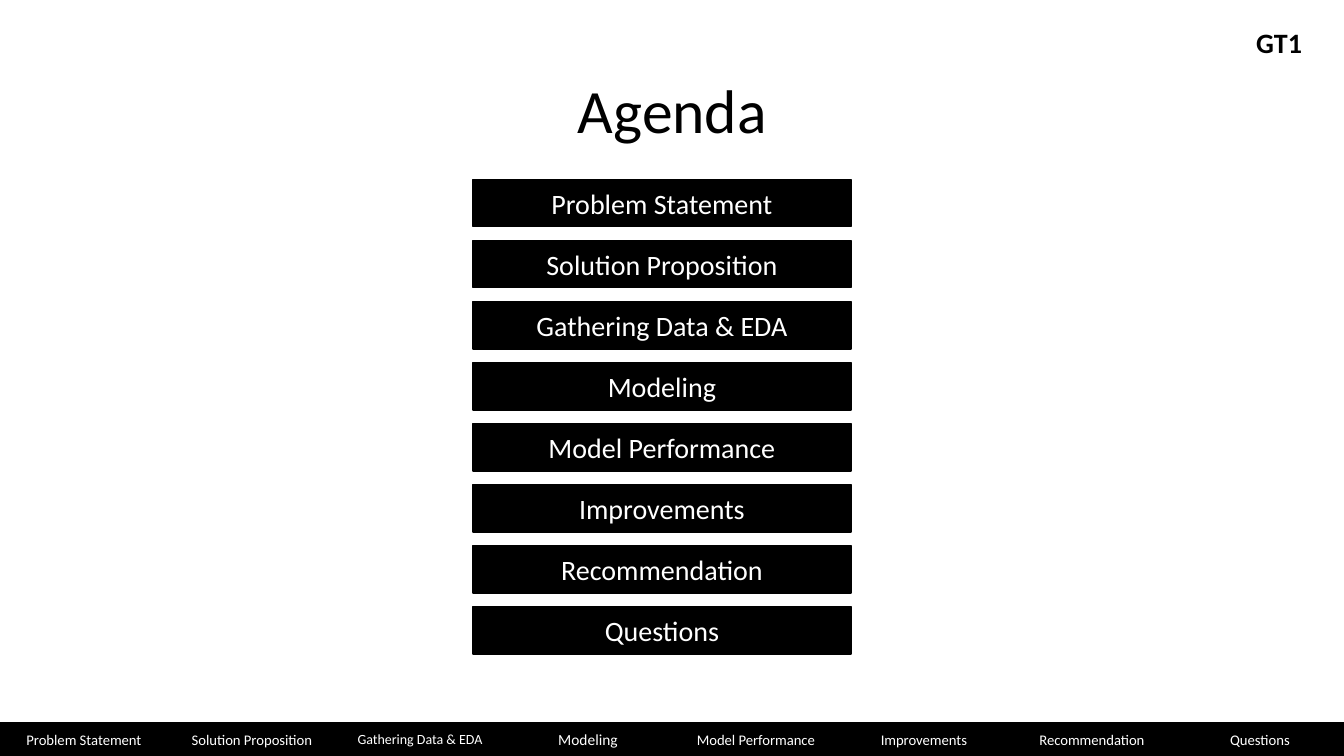
from pptx import Presentation
from pptx.dml.color import RGBColor
from pptx.enum.shapes import MSO_SHAPE
from pptx.enum.text import MSO_ANCHOR, PP_ALIGN
from pptx.util import Inches, Pt

TOPICS = [
    ("Problem Statement", 10.5),
    ("Solution Proposition", 10.5),
    ("Gathering Data & EDA", 10),
    ("Modeling", 11),
    ("Model Performance", 10.5),
    ("Improvements", 10.5),
    ("Recommendation", 10.5),
    ("Questions", 10.5),
]
TITLE = "Agenda"
TAG = "GT1"
FONT = "Calibri"
BLACK = RGBColor(0, 0, 0)
WHITE = RGBColor(255, 255, 255)

WIDTH, HEIGHT = 13.33, 7.5
LEFT, TOP = 4.69, 1.78
BAR_W, BAR_H = 3.75, 0.47
STEP = (6.02 - TOP) / (len(TOPICS) - 1)
TAB_W, TAB_H = WIDTH / len(TOPICS), 0.33


def write(shape, text, size, color, align=PP_ALIGN.CENTER,
          anchor=MSO_ANCHOR.MIDDLE):
    frame = shape.text_frame
    frame.word_wrap = True
    frame.vertical_anchor = anchor
    para = frame.paragraphs[0]
    para.text = text
    para.alignment = align
    para.font.name = FONT
    para.font.size = Pt(size)
    para.font.color.rgb = color
    return para


def add_bar(slide, box, text, size):
    bar = slide.shapes.add_shape(MSO_SHAPE.RECTANGLE, *map(Inches, box))
    bar.shadow.inherit = False
    bar.fill.solid()
    bar.fill.fore_color.rgb = BLACK
    bar.line.color.rgb = BLACK
    bar.line.width = Pt(1)
    write(bar, text, size, WHITE)


def add_text(slide, box, *args):
    label = slide.shapes.add_textbox(*map(Inches, box))
    return write(label, *args)


def main():
    deck = Presentation()
    deck.slide_width, deck.slide_height = Inches(WIDTH), Inches(HEIGHT)
    slide = deck.slides.add_slide(deck.slide_layouts[6])

    title = add_text(slide, (0.92, 0.4, 11.5, 1.45), TITLE, 44, BLACK)
    title.line_spacing = 0.9

    for i, (topic, _) in enumerate(TOPICS):
        add_bar(slide, (LEFT, TOP + i * STEP, BAR_W, BAR_H), topic, 20)
    for i, (topic, size) in enumerate(TOPICS):
        add_bar(slide, (i * TAB_W, HEIGHT - TAB_H, TAB_W, TAB_H), topic, size)

    tag = add_text(slide, (12.36, 0.2, 0.68, 0.44), TAG, 20, BLACK,
                   PP_ALIGN.LEFT, MSO_ANCHOR.TOP)
    tag.font.bold = True

    deck.save("out.pptx")


if __name__ == "__main__":
    main()
